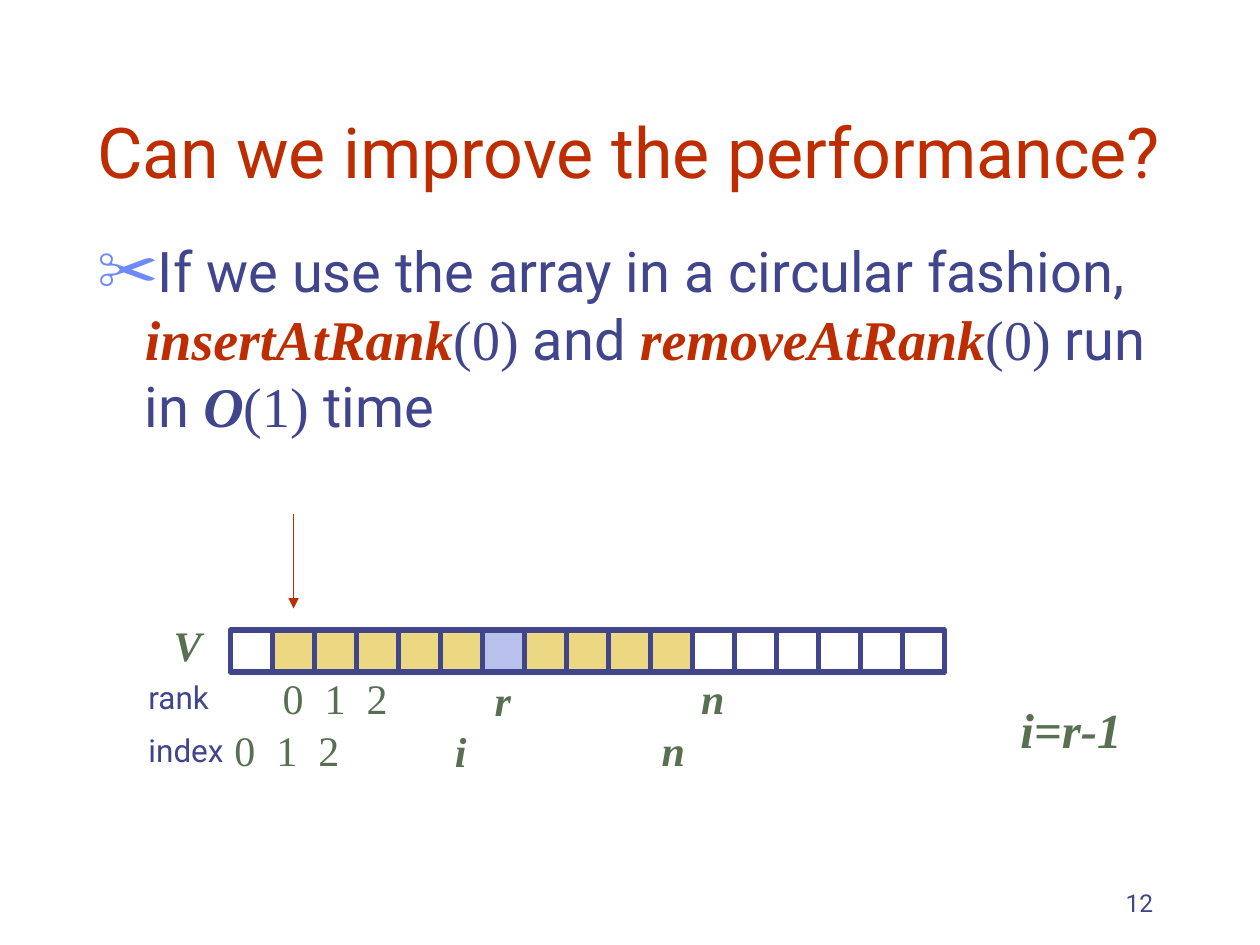
from dataclasses import dataclass

import pptx
import pptx.dml.color
import pptx.enum.shapes
import pptx.enum.text
import pptx.oxml
import pptx.oxml.ns
import pptx.util
from pptx.util import Inches

COLORS = {
    "ink": "40458C", "accent": "BE2D00", "label": "577052", "bullet": "6F89F7",
    "empty": "FFFFFF", "used": "ECD882", "target": "B7C1EB",
}
SANS, SERIF = "Roboto", "Times New Roman"
ALIGN = pptx.enum.text.PP_ALIGN
ANCHOR = pptx.enum.text.MSO_ANCHOR

CELL = 1 / 3
CELL_COUNT = 17
ARRAY_LEFT, ARRAY_TOP = 1.83, 5.0
USED_CELLS = range(1, 11)
TARGET_CELL = 6


@dataclass
class Symbol:
    text: str
    cell: int
    shift: float = 0.0
    drop: float = 0.0


@dataclass
class LabelRow:
    """A caption, the numerals 0 to 2 and the symbols of one row below the array."""
    caption: str
    caption_top: float
    top: float
    first_cell: int
    numeral_shift: float
    symbols: list[Symbol]


ROWS = [
    LabelRow("rank", 5.33, 5.34, 1, 0.08,
             [Symbol("r", TARGET_CELL, drop=0.01), Symbol("n", 11)]),
    LabelRow("index", 5.75, 5.75, 0, 0.03,
             [Symbol("i", 5, drop=0.01), Symbol("n", 10, shift=0.02)]),
]


def rgb(name: str) -> pptx.dml.color.RGBColor:
    return pptx.dml.color.RGBColor.from_string(COLORS[name])


def cell_left(cell: int) -> float:
    return ARRAY_LEFT + cell * CELL


def add_run(p, text: str, *, size=24, font=SANS, color="ink", strong=False) -> None:
    """Append a run; strong means bold italic."""
    r = p.add_run()
    r.text = text
    r.font.size = pptx.util.Pt(size)
    r.font.name = font
    r.font.color.rgb = rgb(color)
    r.font.bold = r.font.italic = strong


def add_text(s, text: str, left: float, top: float, width: float, height: float = 0.4, *,
             align=ALIGN.LEFT, anchor=ANCHOR.TOP, inset=True, wrap=True, **run_format) -> None:
    tf = s.shapes.add_textbox(*map(Inches, (left, top, width, height))).text_frame
    tf.word_wrap = wrap
    tf.vertical_anchor = anchor
    if not inset:
        tf.margin_left = tf.margin_right = tf.margin_top = tf.margin_bottom = 0
    p = tf.paragraphs[0]
    p.alignment = align
    add_run(p, text, **run_format)


def add_symbol(s, text: str, left: float, top: float) -> None:
    add_text(s, text, left, top, 0.32, align=ALIGN.CENTER, inset=False,
             font=SERIF, color="label", strong=True)


def place(sp, left: float, top: float, width: float, height: float):
    """Move a placeholder and return its text frame."""
    sp.left, sp.top, sp.width, sp.height = map(Inches, (left, top, width, height))
    tf = sp.text_frame
    tf.word_wrap = True
    tf.auto_size = pptx.enum.text.MSO_AUTO_SIZE.NONE
    return tf


def set_bullet(p, char: str, color: str, percent: int, indent: float) -> None:
    p_pr = p._p.get_or_add_pPr()
    p_pr.set("marL", str(Inches(indent)))
    p_pr.set("indent", str(-Inches(indent)))
    ns = pptx.oxml.ns.nsdecls("a")
    for xml in (
        f'<a:buClr {ns}><a:srgbClr val="{COLORS[color]}"/></a:buClr>',
        f'<a:buSzPct {ns} val="{percent * 1000}"/>',
        f'<a:buChar {ns} char="{char}"/>',
    ):
        p_pr.append(pptx.oxml.parse_xml(xml))


def fill_placeholders(s) -> None:
    tf = place(s.shapes.title, 0.67, 0.33, 8.67, 1.25)
    tf.vertical_anchor = ANCHOR.BOTTOM
    p = tf.paragraphs[0]
    p.alignment = ALIGN.LEFT
    add_run(p, "Can we improve the performance?", size=40, color="accent")

    p = place(s.placeholders[1], 0.67, 1.83, 8.58, 5).paragraphs[0]
    p.space_before = pptx.util.Pt(8)
    set_bullet(p, "✂", "bullet", 110, 0.38)
    method = dict(font=SERIF, color="accent", strong=True)
    math = dict(font=SERIF)
    for text, style in (
        ("If we use the array in a circular fashion,", {}),
        (" insertAtRank", method), ("(0) ", math), ("and ", {}),
        ("removeAtRank", method), ("(0) ", math), ("run in ", {}),
        ("O", dict(font=SERIF, strong=True)), ("(1)", math), (" time", {}),
    ):
        add_run(p, text, size=32, **style)


def add_cell(s, cell: int, fill: str) -> None:
    sp = s.shapes.add_shape(pptx.enum.shapes.MSO_SHAPE.RECTANGLE, Inches(cell_left(cell)),
                            Inches(ARRAY_TOP), Inches(CELL), Inches(CELL))
    sp.shadow.inherit = False
    sp.fill.solid()
    sp.fill.fore_color.rgb = rgb(fill)
    sp.line.color.rgb = rgb("ink")
    sp.line.width = pptx.util.Pt(3)


def add_arrow(s, x: float, top: float, bottom: float) -> None:
    line = s.shapes.add_connector(pptx.enum.shapes.MSO_CONNECTOR.STRAIGHT,
                                  *map(Inches, (x, top, x, bottom)))
    line.line.color.rgb = rgb("accent")
    line.line.width = pptx.util.Pt(1)
    ns = pptx.oxml.ns.nsdecls("a")
    line.line._get_or_add_ln().append(
        pptx.oxml.parse_xml(f'<a:tailEnd {ns} type="triangle"/>'))
    line._element.spPr.append(pptx.oxml.parse_xml(f"<a:effectLst {ns}/>"))


def add_row(s, row: LabelRow) -> None:
    add_text(s, row.caption, 1.08, row.caption_top, 1.08, size=18)
    for number in range(3):
        left = cell_left(row.first_cell + number) + row.numeral_shift
        add_text(s, str(number), left, row.top, 0.17, inset=False, wrap=False,
                 font=SERIF, color="label")
    for symbol in row.symbols:
        add_symbol(s, symbol.text, cell_left(symbol.cell) + symbol.shift,
                   row.top + symbol.drop)


def main() -> None:
    prs = pptx.Presentation()
    prs.slide_width, prs.slide_height = Inches(10), Inches(7.5)
    s = prs.slides.add_slide(prs.slide_layouts[1])
    fill_placeholders(s)
    add_text(s, "12", 7.17, 6.83, 2.08, 0.5, align=ALIGN.RIGHT, anchor=ANCHOR.BOTTOM, size=14)

    add_symbol(s, "V", 1.33, 4.92)
    for cell in range(CELL_COUNT):
        fill = "target" if cell == TARGET_CELL else "used" if cell in USED_CELLS else "empty"
        add_cell(s, cell, fill)
    add_arrow(s, cell_left(1) + CELL / 2, 4.08, 4.83)
    for row in ROWS:
        add_row(s, row)
    add_text(s, "i=r-1", 8, 5.5, 2, 0.57, size=28, font=SERIF, color="label", strong=True)
    prs.save("out.pptx")


if __name__ == "__main__":
    main()
